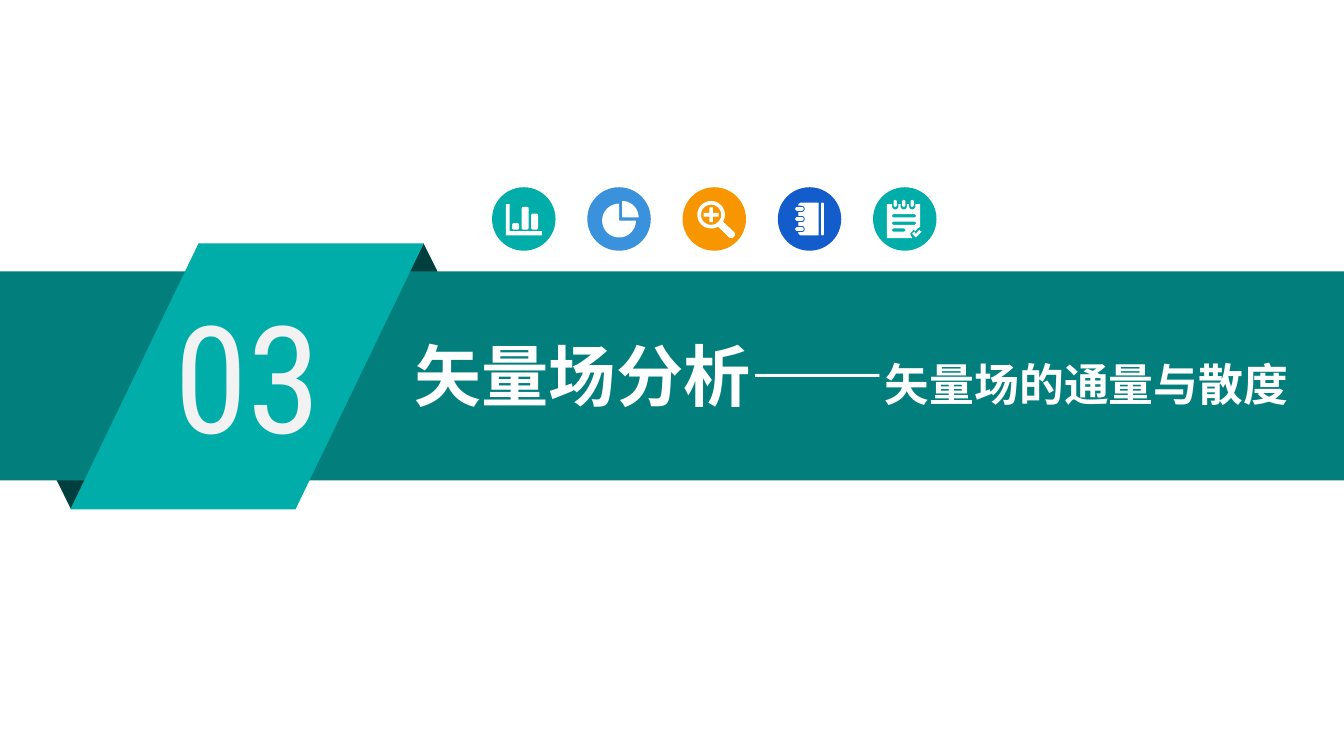
from math import cos, radians, sin

from lxml.etree import SubElement
from pptx import Presentation
from pptx.dml.color import RGBColor
from pptx.enum.shapes import MSO_SHAPE as Shape
from pptx.enum.text import MSO_ANCHOR as Anchor, PP_ALIGN as Align
from pptx.oxml.ns import qn
from pptx.util import Cm, Pt

TEAL, DARK_TEAL, FOLD = "00ADA9", "027F7D", "013F3F"
BLUE, ORANGE, NAVY = "3992DB", "F79600", "125CCB"
WHITE, PALE = "FFFFFF", "F2F2F2"
CHINESE_FONT, NUMBER_FONT = "Noto Sans CJK SC", "Roboto Condensed"
BADGE_SIZE, BADGE_PITCH = 1.2, 1.8
BADGE_LEFT, BADGE_TOP = 9.3, 3.54


def color(hex_string):
    return RGBColor.from_string(hex_string)


def paint(shape, fill):
    shape.shadow.inherit = False
    shape.fill.solid()
    shape.fill.fore_color.rgb = color(fill)
    shape.line.fill.background()


def add_block(shapes, kind, left, top, width, height, fill):
    shape = shapes.add_shape(kind, Cm(left), Cm(top), Cm(width), Cm(height))
    paint(shape, fill)
    return shape


def add_text(shapes, left, top, width, height, runs, align=Align.LEFT):
    """Each run is a text with its dict of font values."""
    box = shapes.add_textbox(Cm(left), Cm(top), Cm(width), Cm(height))
    frame = box.text_frame
    layout = {"word_wrap": True, "vertical_anchor": Anchor.TOP,
              "margin_left": Cm(0.19), "margin_right": Cm(0.19),
              "margin_top": Cm(0.1), "margin_bottom": Cm(0.1)}
    for name, value in layout.items():
        setattr(frame, name, value)
    paragraph = frame.paragraphs[0]
    paragraph.alignment = align
    for text, font_values, fill in runs:
        run = paragraph.add_run()
        run.text = text
        for name, value in font_values.items():
            setattr(run.font, name, value)
        run.font.color.rgb = color(fill)
        east_asian = SubElement(run._r.get_or_add_rPr(), qn("a:ea"))
        east_asian.set("typeface", font_values["name"])


# Icon outlines: points in hundredths of a cm from the badge centre

def arc(x, y, radius, start, end, steps=24):
    angles = [radians(start + (end - start) * i / steps) for i in range(steps + 1)]
    return [(x + radius * cos(a), y + radius * sin(a)) for a in angles]


def rounded(left, top, right, bottom, radius):
    corners = [(right - radius, bottom - radius), (left + radius, bottom - radius),
               (left + radius, top + radius), (right - radius, top + radius)]
    return [point for i, (x, y) in enumerate(corners)
            for point in arc(x, y, radius, 90 * i, 90 * i + 90, 6)]


def bar_chart_icon():
    axes = [(-34, -28), (-27, -28), (-27, 23), (34, 23), (34, 31), (-34, 31)]
    bars = [rounded(left, top, left + 13, 20, 3)
            for left, top in ((-22, 8), (-4, -23), (14, -10))]
    return [axes, *bars]


def pie_chart_icon():
    return [[(6, -3)] + arc(6, -3, 31, -90, 0),
            [(0, 3)] + arc(0, 3, 32, 0, 270)]


def magnifier_icon():
    x, y, arm, half = -6, -8, 14, 3.5
    outline = arc(x, y, 26, 60, 390, 48) + arc(32, 29, 7, -45, 135)
    plus = [(x + dx, y + dy) for dx, dy in (
        (-half, -arm), (half, -arm), (half, -half), (arm, -half),
        (arm, half), (half, half), (half, arm), (-half, arm),
        (-half, half), (-arm, half), (-arm, -half), (-half, -half))]
    return [outline, arc(x, y, 19, 0, 360, 48), plus]


def notebook_icon():
    ring_rows = (19, 0, -19)
    cover = [(-17, -31), (17, -31), (17, 31), (-17, 31), (-21, 28)]
    for y in ring_rows:
        cover += [(-21, y + 6), *arc(-15, y, 6, 90, -90), (-21, y - 6)]
    cover.append((-21, -28))
    rings = [rounded(-27, y - 3.5, -11, y + 3.5, 3.5) for y in ring_rows]
    return [cover, rounded(22, -31, 27, 31, 2), *rings]


def notepad_icon():
    tab_columns = (-18, -2, 14)
    page = [(-34, -28)]
    for x in tab_columns:
        page += [(x - 6, -28), *arc(x, -24, 6, 180, 0), (x + 6, -28)]
    page += [(29, -28), (29, 15), (24, 18), (20, 23), (17, 20), (10, 28),
             (14, 36), (-34, 36)]
    tabs = [rounded(x - 3, -36, x + 3, -23, 3) for x in tab_columns]
    lines = [rounded(-24, y - 3, right, y + 3, 3)
             for y, right in ((-6, 21), (8, 21), (21, 1))]
    tick = [(14, 28), (18, 24), (21, 28), (27, 21), (32, 24), (21, 35)]
    return [page, *tabs, *lines, tick]


def add_badge(slide, left, fill, contours):
    shapes = slide.shapes.add_group_shape().shapes
    add_block(shapes, Shape.OVAL, left, BADGE_TOP, BADGE_SIZE, BADGE_SIZE, fill)
    # One drawing unit is 0.001 cm
    center_x = left + BADGE_SIZE / 2
    center_y = BADGE_TOP + BADGE_SIZE / 2
    outlines = [[(center_x * 1000 + x * 10, center_y * 1000 + y * 10)
                 for x, y in contour] for contour in contours]
    builder = shapes.build_freeform(*outlines[0][0], scale=Cm(0.001))
    for index, points in enumerate(outlines):
        if index:
            builder.move_to(*points[0])
        builder.add_line_segments(points[1:], close=True)
    paint(builder.convert_to_shape(), WHITE)


def add_banner(slide):
    shapes = slide.shapes.add_group_shape().shapes
    # Folded ribbon ends lie behind the band
    add_block(shapes, Shape.ISOSCELES_TRIANGLE, 6.86, 4.6, 2.29, 2.31, FOLD)
    lower_fold = add_block(shapes, Shape.ISOSCELES_TRIANGLE, 0.2, 7.32, 2.29, 2.31, FOLD)
    lower_fold.rotation = 180
    add_block(shapes, Shape.RECTANGLE, 0, 5.13, 25.4, 3.95, DARK_TEAL)
    ribbon = add_block(shapes, Shape.PARALLELOGRAM, 1.33, 4.6, 6.68, 5.03, TEAL)
    ribbon.adjustments[0] = 0.482
    number_font = {"name": NUMBER_FONT, "size": Pt(80)}
    add_text(shapes, 3.1, 5.28, 3.68, 3.61, [("03", number_font, PALE)])


def main():
    presentation = Presentation()
    presentation.slide_width = Cm(25.4)
    presentation.slide_height = Cm(14.29)
    slide = presentation.slides.add_slide(presentation.slide_layouts[6])

    # Banner with section number and title
    add_banner(slide)
    title_font = {"name": CHINESE_FONT, "size": Pt(36), "bold": True}
    subtitle_font = {**title_font, "size": Pt(24)}
    add_text(slide.shapes, 7.29, 6.22, 17.6, 3.28,
             [("矢量场分析——", title_font, WHITE),
              ("矢量场的通量与散度", subtitle_font, WHITE)], Align.CENTER)

    # Row of icon badges
    badges = [(TEAL, bar_chart_icon()), (BLUE, pie_chart_icon()),
              (ORANGE, magnifier_icon()), (NAVY, notebook_icon()),
              (TEAL, notepad_icon())]
    for index, (fill, contours) in enumerate(badges):
        add_badge(slide, BADGE_LEFT + index * BADGE_PITCH, fill, contours)

    presentation.save("out.pptx")


if __name__ == "__main__":
    main()
